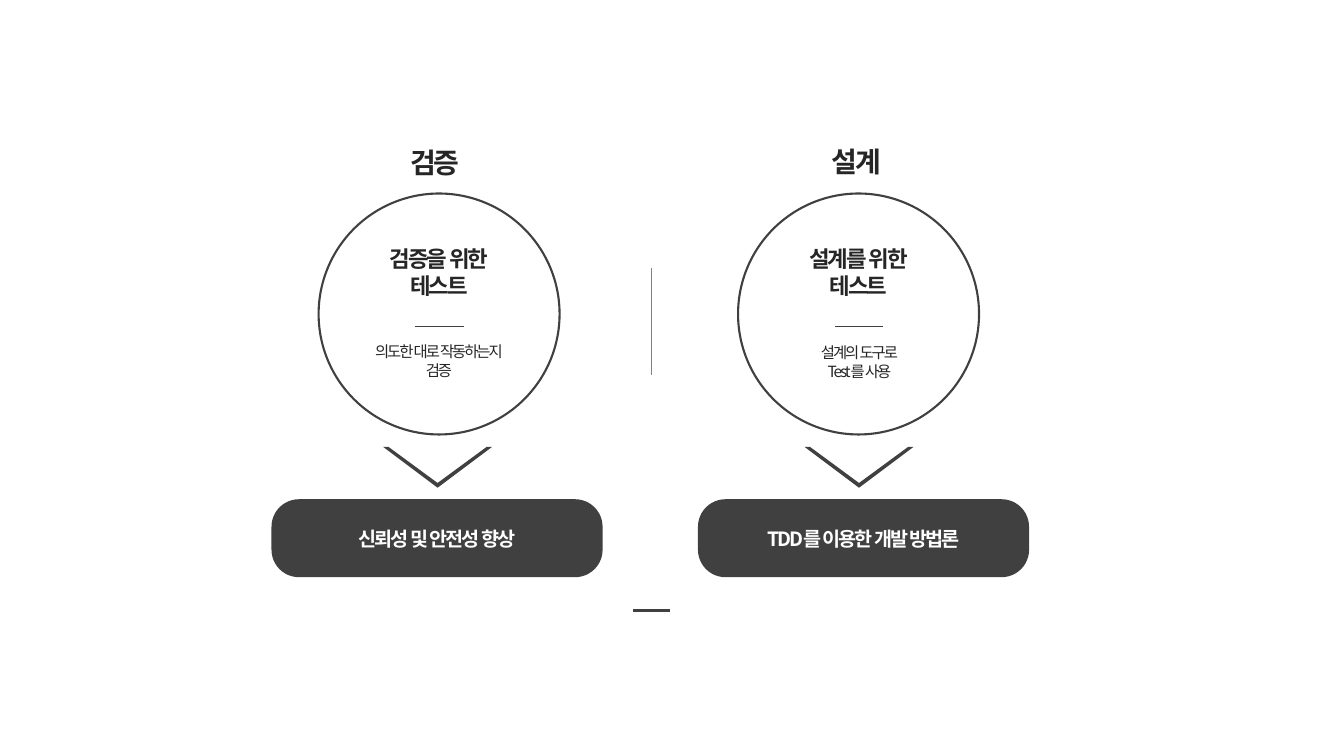
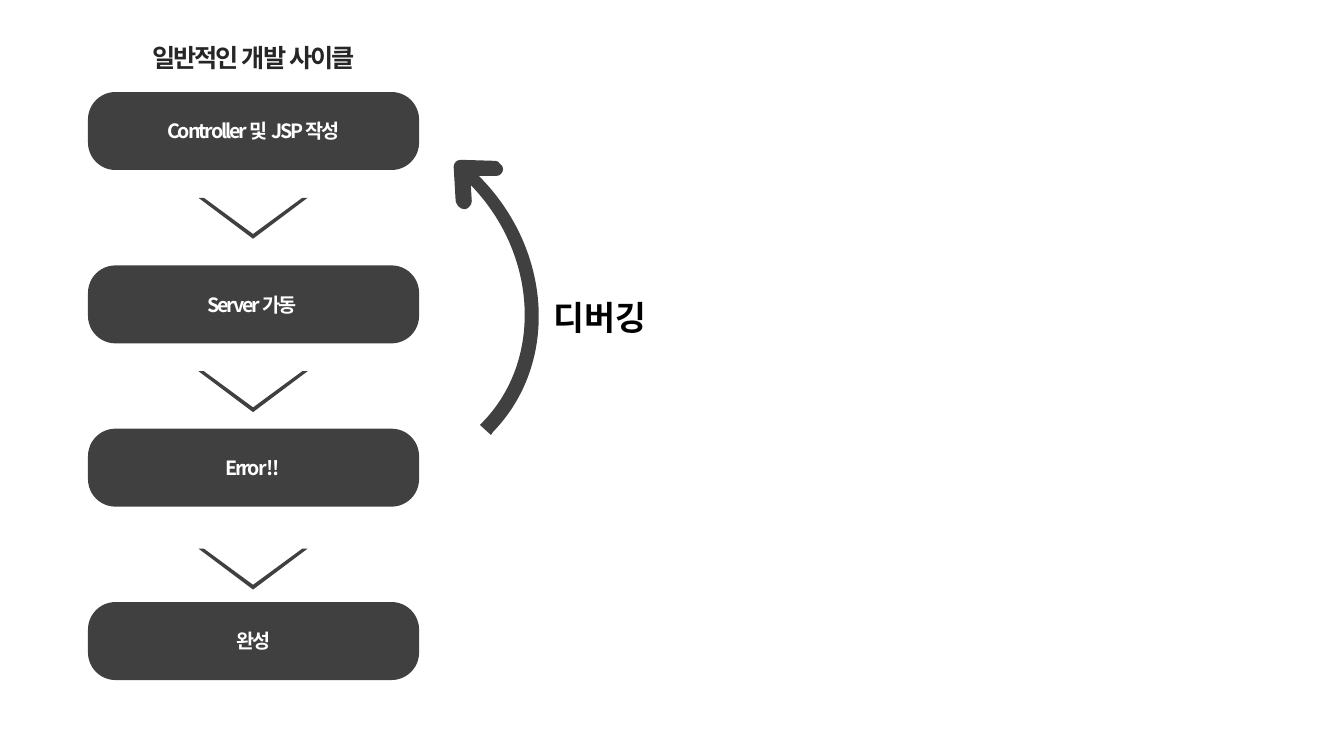
import math

from lxml import etree
from pptx import Presentation
from pptx import util as u
from pptx.dml.color import RGBColor
from pptx.enum import shapes, text
from pptx.oxml.ns import qn

PX = 9144  # EMU per px, 100 px to the inch
FONT = "Noto Sans CJK KR"
WHITE = RGBColor(0xFF, 0xFF, 0xFF)
BLACK = RGBColor(0x00, 0x00, 0x00)
INK = RGBColor(0x26, 0x26, 0x26)
DARK = RGBColor(0x40, 0x40, 0x40)
GREY = RGBColor(0x80, 0x80, 0x80)
LEFT, CENTER = text.PP_ALIGN.LEFT, text.PP_ALIGN.CENTER


def px(*lengths):
    return [u.Emu(round(length * PX)) for length in lengths]


def write(frame, lines, size, colour=INK, bold=True, align=CENTER, latin=FONT, spacing=-150):
    """Fill a text frame, one paragraph a line; spacing is in 1/100 pt."""
    frame.text = "\n".join(lines)
    for para in frame.paragraphs:
        para.alignment = align
        font = para.font
        font.size, font.bold, font.name = u.Pt(size), bold, latin
        font.color.rgb = colour
        defaults = para._p.pPr.find(qn("a:defRPr"))
        defaults.set("lang", "ko-KR")
        defaults.set("kern", "0")
        defaults.set("spc", str(spacing))
        etree.SubElement(defaults, qn("a:ea")).set("typeface", FONT)


deck = Presentation()
deck.slide_width, deck.slide_height = px(1333, 750)
purpose = deck.slides.add_slide(deck.slide_layouts[6])
cycle = deck.slides.add_slide(deck.slide_layouts[5])

title = cycle.shapes.title
title.left, title.top, title.width, title.height = px(-23, 37, 549, 40)
write(title.text_frame, ["일반적인 개발 사이클"], 18, latin="Arial")
title.text_frame.vertical_anchor = text.MSO_ANCHOR.TOP
title.text_frame.auto_size = text.MSO_AUTO_SIZE.NONE

# Circles with their headings and notes
columns = [
    (316, "검증", (397, 139), ["검증을 위한", "테스트"],
     ["의도한 대로 작동하는지 ", "검증 "], (355, 335, 163)),
    (732, "설계", (815, 138), ["설계를 위한", "테스트"],
     ["설계의 도구로", "Test를 사용"], (801, 336, 103)),
]
lines = [
    (purpose, (628, 606, 665, 606), DARK, 2.25),
    (purpose, (646, 266, 646, 372), GREY, 0.5),
]
labels = [(cycle, (539, 290, 121, 50), ["디버깅"], False,
           dict(size=24, colour=BLACK, align=LEFT, spacing=0))]
for left, name, name_at, heading, note, (note_left, note_top, note_width) in columns:
    circle = purpose.shapes.add_shape(
        shapes.MSO_SHAPE.OVAL, *px(left, 192, 239, 239))
    circle.shadow.inherit = False
    circle.fill.solid()
    circle.fill.fore_color.rgb = WHITE
    circle.line.color.rgb = DARK
    circle.line.width = u.Pt(1.5)
    lines.append((purpose, (left + 96, 324, left + 144, 324), DARK, 0.75))
    labels += [
        (purpose, (*name_at, 72, 44), [name], False, dict(size=20, align=LEFT)),
        (purpose, (left - 27, 238, 293, 64), heading, True, dict(size=16)),
        (purpose, (note_left, note_top, note_width, 47), note, False,
         dict(size=11, bold=False)),
    ]

for page, place, words, wrap, style in labels:
    frame = page.shapes.add_textbox(*px(*place)).text_frame
    frame.word_wrap = wrap
    frame.auto_size = text.MSO_AUTO_SIZE.SHAPE_TO_FIT_TEXT
    write(frame, words, **style)

for page, ends, colour, width in lines:
    line = page.shapes.add_connector(shapes.MSO_CONNECTOR.STRAIGHT, *px(*ends))
    line.line.color.rgb = colour
    line.line.width = u.Pt(width)
    etree.SubElement(line._element.spPr, qn("a:effectLst"))

# Dark pills
pills = [
    (purpose, 270, 496, "신뢰성 및 안전성 향상"),
    (purpose, 693, 496, "TDD를 이용한 개발 방법론"),
    (cycle, 88, 92, "Controller 및 JSP 작성"),
    (cycle, 88, 264, "Server 가동 "),
    (cycle, 88, 426, "Error !! "),
    (cycle, 88, 598, "완성"),
]
for page, left, top, words in pills:
    pill = page.shapes.add_shape(
        shapes.MSO_SHAPE.ROUNDED_RECTANGLE, *px(left, top, 327, 76))
    pill.adjustments[0] = 0.35
    pill.shadow.inherit = False
    pill.fill.solid()
    pill.fill.fore_color.rgb = DARK
    pill.line.color.rgb = DARK
    pill.line.width = u.Pt(1)
    pill.text_frame.vertical_anchor = text.MSO_ANCHOR.MIDDLE
    write(pill.text_frame, [words], 14, WHITE)

# Chevrons point up and are turned over
CHEVRON = [(0, 39), (52, 0), (104, 39), (101, 39), (52, 3), (3, 39)]
chevrons = [(purpose, 382, 444), (purpose, 800, 444),
            (cycle, 199, 197), (cycle, 199, 369), (cycle, 199, 545)]
outlines = [(page, [[(left + x, top + y)] for x, y in CHEVRON], 180, True)
            for page, left, top in chevrons]

# Each step of the curved arrow, as it stands on the page:
# an end point, or two control points and an end point
ARROW = [
    [(497, 162)],
    [(499, 163), (500, 165), (500, 167)],
    [(500, 171), (497, 174), (493, 174)],
    [(476, 174)],
    [(549, 247), (556, 360), (490, 428)],
    [(488, 431)],
    [(477, 421)],
    [(480, 418)],
    [(540, 356), (534, 251), (468, 183)],
    [(469, 199)],
    [(469, 201), (468, 203), (467, 204)],
    [(465, 206), (464, 207), (462, 207)],
    [(457, 207), (454, 203), (453, 199)],
    [(451, 165)],
    [(451, 161), (454, 158), (458, 158)],
    [(492, 159)],
    [(494, 159), (496, 160), (497, 162)],
]
TURN = 313.9
CENTRE_X, CENTRE_Y = 480, 285
cos, sin = math.cos(math.radians(TURN)), math.sin(math.radians(TURN))
upright_arrow = [
    [(CENTRE_X + (x - CENTRE_X) * cos + (y - CENTRE_Y) * sin,
      CENTRE_Y - (x - CENTRE_X) * sin + (y - CENTRE_Y) * cos) for x, y in step]
    for step in ARROW
]
outlines.append((cycle, upright_arrow, TURN, False))

for page, steps, turn, edged in outlines:
    start, *rest = [px(*step[-1]) for step in steps]
    builder = page.shapes.build_freeform(*start)
    builder.add_line_segments(rest, close=steps[0] != steps[-1][-1:])
    outline = builder.convert_to_shape()
    segments = list(outline._element.iter(qn("a:lnTo")))
    for segment, step in zip(segments, steps[1:]):
        if len(step) == 3:
            curve = etree.Element(qn("a:cubicBezTo"))
            for point in step:
                x, y = px(*point)
                etree.SubElement(curve, qn("a:pt"), x=str(x - outline.left),
                                 y=str(y - outline.top))
            segment.getparent().replace(segment, curve)
    outline.rotation = turn
    outline.shadow.inherit = False
    outline.fill.solid()
    outline.fill.fore_color.rgb = DARK
    if edged:
        outline.line.color.rgb = DARK
        outline.line.width = u.Pt(1)
        etree.SubElement(outline.line._get_or_add_ln(), qn("a:miter"), lim="800000")
    else:
        outline.line.fill.background()

deck.save("out.pptx")
